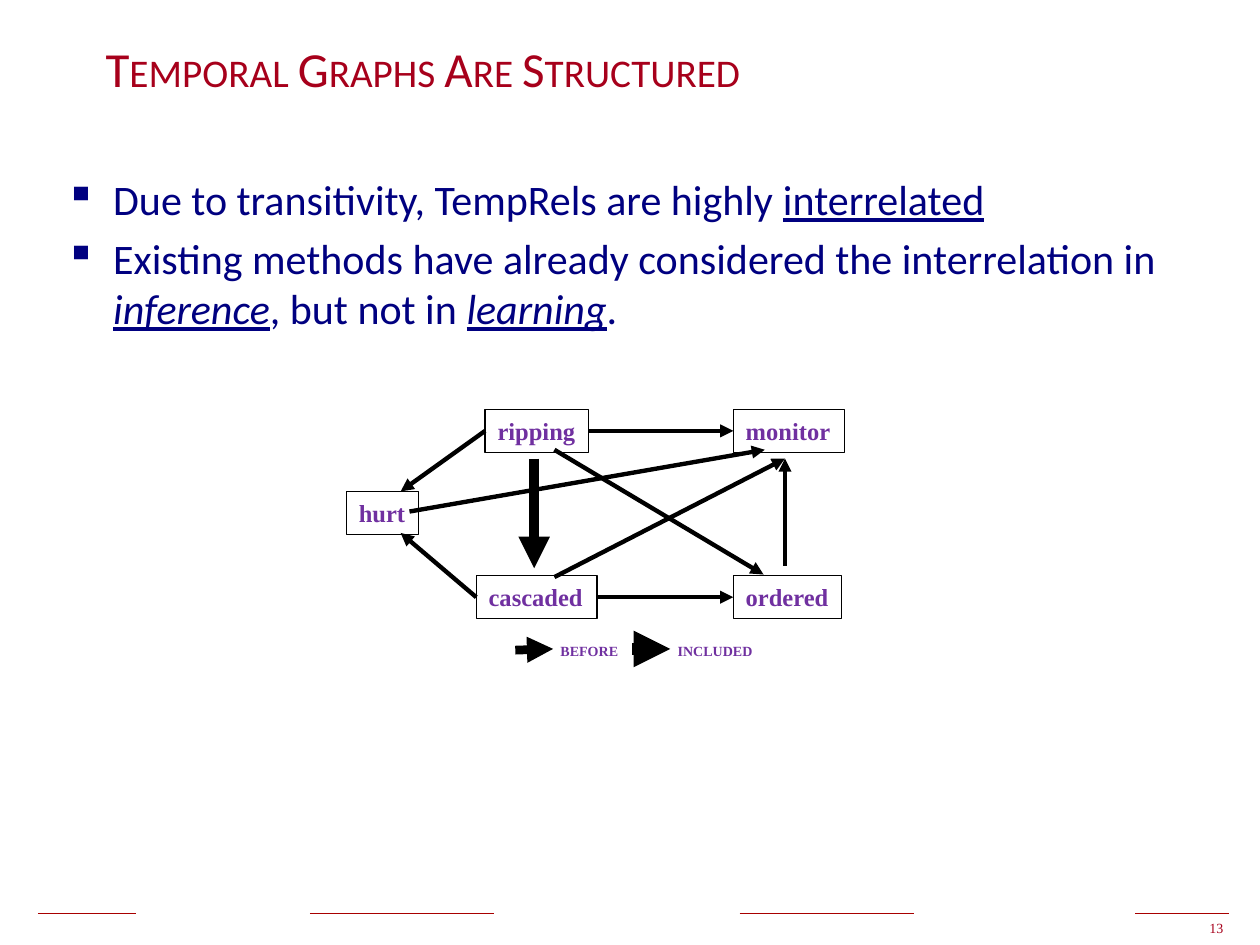
from dataclasses import dataclass
from typing import NamedTuple, Optional

from lxml import etree
from pptx import Presentation
from pptx import util as u
from pptx.dml.color import RGBColor
from pptx.enum import shapes, text
from pptx.oxml.ns import qn


@dataclass(frozen=True)
class Theme:
    heading_font: str = "Calibri"
    label_font: str = "Times New Roman"
    crimson: RGBColor = RGBColor(0xA7, 0x00, 0x1B)
    rule: RGBColor = RGBColor(0xA8, 0x00, 0x00)
    navy: RGBColor = RGBColor(0x00, 0x00, 0x80)
    purple: RGBColor = RGBColor(0x70, 0x30, 0xA0)
    black: RGBColor = RGBColor(0x00, 0x00, 0x00)
    title_size: int = 28
    body_size: int = 24
    event_size: int = 14
    small_size: int = 8
    box_line: float = 0.75
    edge_line: float = 2.5


class Point(NamedTuple):
    x: float
    y: float


class Joint(NamedTuple):
    event: str
    side: int


class Event(NamedTuple):
    name: str
    left: float
    top: float
    width: float


class Relation(NamedTuple):
    source: Point
    target: Point
    source_joint: Optional[Joint] = None
    target_joint: Optional[Joint] = None
    width: float = Theme.edge_line


class Legend(NamedTuple):
    label: str
    left: float
    width: float
    arrow_from: Point
    arrow_to: Point
    arrow_width: float


class Phrase(NamedTuple):
    words: str
    underline: bool = False
    italic: bool = False


THEME = Theme()
TOP, LEFT, BOTTOM, RIGHT = range(4)
EVENT_HEIGHT = 0.34

EVENTS = [
    Event("hurt", 2.75, 3.9, 0.57),
    Event("cascaded", 3.78, 4.57, 0.96),
    Event("ripping", 3.85, 3.25, 0.82),
    Event("ordered", 5.82, 4.57, 0.86),
    Event("monitor", 5.82, 3.25, 0.88),
]
RELATIONS = [
    Relation(Point(4.24, 3.64), Point(4.24, 4.51), width=6),
    Relation(Point(3.85, 3.42), Point(3.18, 3.9), Joint("ripping", LEFT)),
    Relation(Point(4.4, 3.57), Point(6.06, 4.56)),
    Relation(Point(4.74, 4.74), Point(5.82, 4.74), Joint("cascaded", RIGHT), Joint("ordered", LEFT)),
    Relation(Point(3.78, 4.74), Point(3.18, 4.23), Joint("cascaded", LEFT)),
    Relation(Point(4.67, 3.42), Point(5.82, 3.42), Joint("ripping", RIGHT), Joint("monitor", LEFT)),
    Relation(Point(6.23, 4.49), Point(6.23, 3.64)),
    Relation(Point(4.4, 4.58), Point(6.23, 3.64)),
    Relation(Point(3.25, 4.06), Point(6.07, 3.57)),
]
LEGENDS = [
    Legend("BEFORE", 4.35, 0.66, Point(4.09, 5.16), Point(4.39, 5.15), 5),
    Legend("INCLUDED", 5.28, 0.8, Point(5.02, 5.15), Point(5.32, 5.15), 7),
]
FOOTER_RULES = [(0.3, 1.08), (2.46, 3.92), (5.87, 7.25), (9.01, 9.75)]
BULLETS = [
    [Phrase("Due to transitivity, TempRels are highly "), Phrase("interrelated", underline=True)],
    [
        Phrase("Existing methods have already considered the interrelation in "),
        Phrase("inference", underline=True, italic=True),
        Phrase(", but not in "),
        Phrase("learning", underline=True, italic=True),
        Phrase("."),
    ],
]


def add_run(paragraph, words: str, font: str, size: float, color: RGBColor, bold: bool = False):
    run = paragraph.add_run()
    run.text = words
    run.font.name = font
    run.font.size = u.Pt(size)
    run.font.color.rgb = color
    run.font.bold = bold
    return run


def add_text_area(slide, left: float, top: float, width: float, height: float, wrap: bool = False):
    area = slide.shapes.add_textbox(*map(u.Inches, (left, top, width, height)))
    area.text_frame.word_wrap = wrap
    if not wrap:
        area.text_frame.auto_size = text.MSO_AUTO_SIZE.SHAPE_TO_FIT_TEXT
    return area.text_frame


def add_line(slide, start: Point, end: Point, color: RGBColor, width: float, arrow: bool = False):
    line = slide.shapes.add_connector(
        shapes.MSO_CONNECTOR.STRAIGHT, *map(u.Inches, (*start, *end)))
    line.line.color.rgb = color
    line.line.width = u.Pt(width)
    if arrow:
        etree.SubElement(line.line._get_or_add_ln(), qn("a:tailEnd"), type="triangle")
    etree.SubElement(line._element.spPr, qn("a:effectLst"))
    return line


def add_event(slide, event: Event):
    box = slide.shapes.add_shape(
        shapes.MSO_SHAPE.RECTANGLE,
        *map(u.Inches, (event.left, event.top, event.width, EVENT_HEIGHT)))
    box.shadow.inherit = False
    box.fill.background()
    box.line.color.rgb = THEME.black
    box.line.width = u.Pt(THEME.box_line)
    frame = box.text_frame
    frame.word_wrap = False
    frame.auto_size = text.MSO_AUTO_SIZE.SHAPE_TO_FIT_TEXT
    frame.vertical_anchor = text.MSO_ANCHOR.TOP
    label = frame.paragraphs[0]
    label.alignment = text.PP_ALIGN.LEFT
    add_run(label, event.name, THEME.label_font, THEME.event_size, THEME.purple, bold=True)
    return box


def add_relation(slide, relation: Relation, boxes: dict) -> None:
    edge = add_line(slide, relation.source, relation.target, THEME.black, relation.width, arrow=True)
    if relation.source_joint:
        edge.begin_connect(boxes[relation.source_joint.event], relation.source_joint.side)
    if relation.target_joint:
        edge.end_connect(boxes[relation.target_joint.event], relation.target_joint.side)


def add_legend(slide, legend: Legend) -> None:
    add_line(slide, legend.arrow_from, legend.arrow_to, THEME.black, legend.arrow_width, arrow=True)
    label = add_text_area(slide, legend.left, 5.05, legend.width, 0.24).paragraphs[0]
    add_run(label, legend.label, THEME.label_font, THEME.small_size, THEME.purple, bold=True)


def add_bullet(paragraph, phrases: list[Phrase]) -> None:
    properties = paragraph._p.get_or_add_pPr()
    properties.set("marL", str(u.Inches(0.38)))
    properties.set("indent", str(-u.Inches(0.38)))
    bullet_color = etree.SubElement(properties, qn("a:buClr"))
    etree.SubElement(bullet_color, qn("a:srgbClr"), val=str(THEME.navy))
    etree.SubElement(properties, qn("a:buChar"), char="▪")
    for phrase in phrases:
        run = add_run(paragraph, phrase.words, THEME.heading_font, THEME.body_size, THEME.navy)
        run.font.underline = phrase.underline
        run.font.italic = phrase.italic


def main() -> None:
    deck = Presentation()
    deck.slide_width, deck.slide_height = u.Inches(10), u.Inches(7.5)
    slide = deck.slides.add_slide(deck.slide_layouts[6])

    for left, right in FOOTER_RULES:
        add_line(slide, Point(left, 7.25), Point(right, 7.25), THEME.rule, 1)
    page_number = add_text_area(slide, 9.5, 7.25, 0.33, 0.23).paragraphs[0]
    add_run(page_number, "13", THEME.label_font, THEME.small_size, THEME.crimson)

    heading = add_text_area(slide, 0.74, 0.25, 8.5, 0.58, wrap=True)
    heading.vertical_anchor = text.MSO_ANCHOR.MIDDLE
    title = add_run(heading.paragraphs[0], "Temporal Graphs Are Structured",
                    THEME.heading_font, THEME.title_size, THEME.crimson)
    title._r.get_or_add_rPr().set("cap", "small")

    body = add_text_area(slide, 0.42, 1.33, 9.33, 1.8, wrap=True)
    for index, phrases in enumerate(BULLETS):
        paragraph = body.add_paragraph() if index else body.paragraphs[0]
        add_bullet(paragraph, phrases)
        if index:
            paragraph.space_before = u.Pt(0.2 * THEME.body_size)

    boxes = {event.name: add_event(slide, event) for event in EVENTS}
    for relation in RELATIONS:
        add_relation(slide, relation, boxes)
    for legend in LEGENDS:
        add_legend(slide, legend)
    deck.save("out.pptx")


if __name__ == "__main__":
    main()
